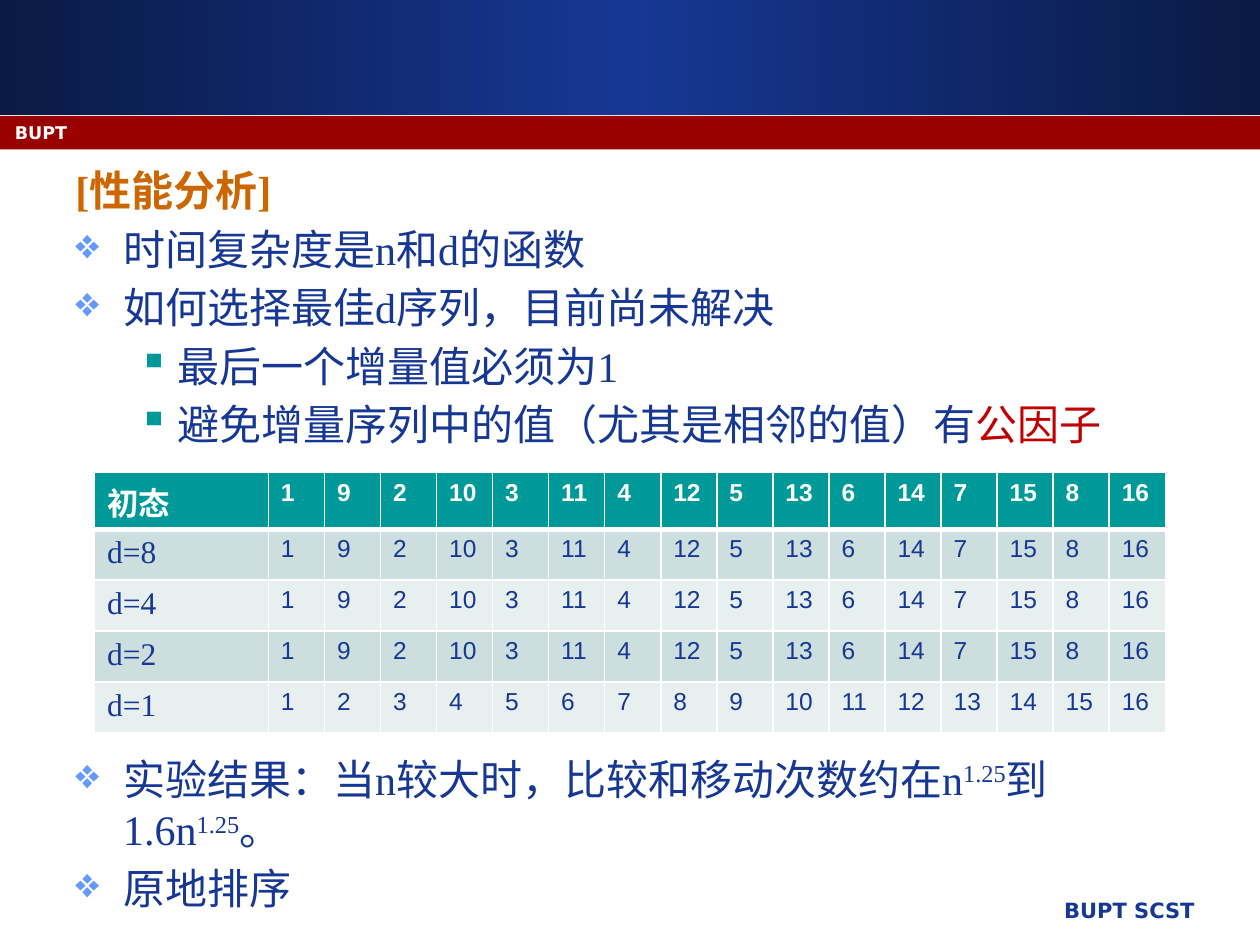
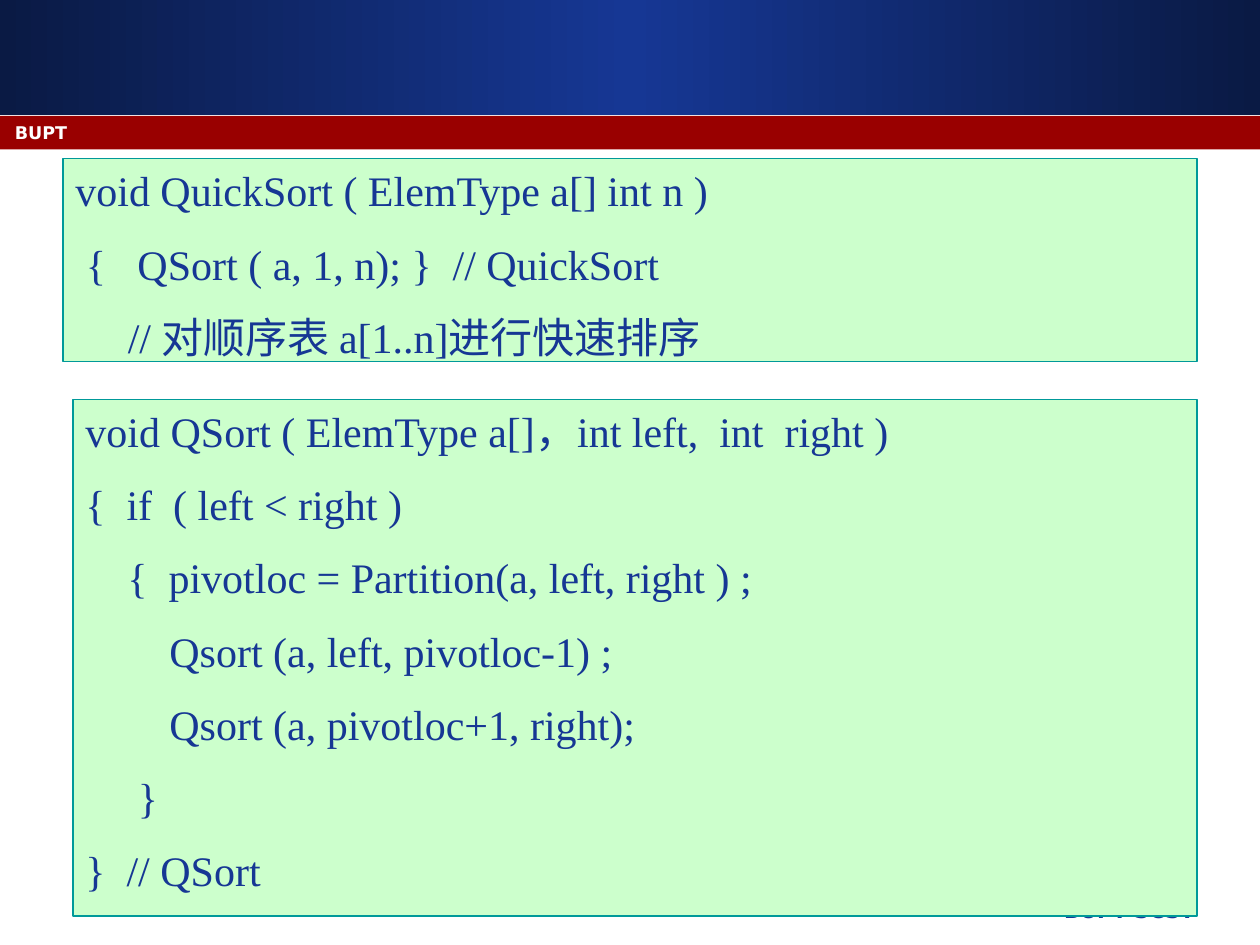
"""Builds two lecture slides: Shell sort performance and quick sort code."""
from copy import deepcopy

from pptx import Presentation
from pptx import util as u
from pptx.dml.color import RGBColor
from pptx.enum import shapes, text
from pptx.oxml import parse_xml
from pptx.oxml.ns import nsdecls, qn

NAVY = RGBColor(0x16, 0x37, 0x94)
NIGHT = RGBColor(0x0A, 0x1A, 0x44)
CRIMSON = RGBColor(0x99, 0x00, 0x00)
RED = RGBColor(0xC0, 0x00, 0x00)
ORANGE = RGBColor(0xCC, 0x66, 0x00)
SKY = RGBColor(0x66, 0x99, 0xFF)
TEAL = RGBColor(0x00, 0x99, 0x99)
MIST = RGBColor(0xCC, 0xDE, 0xDE)
PALE = RGBColor(0xE7, 0xEF, 0xEF)
MINT = RGBColor(0xCC, 0xFF, 0xCC)
WHITE = RGBColor(0xFF, 0xFF, 0xFF)

SERIF, SANS, FOOTER = "Times New Roman", "Arial", "DejaVu Sans"

deck = Presentation()
deck.slide_width, deck.slide_height = u.Inches(10), u.Inches(7.5)
COL = deck.slide_width / 20
ROW = deck.slide_height / 30


def area(left, top, width, height):
    """Turns grid columns and rows into slide lengths."""
    return [int(n * unit) for n, unit in zip((left, top, width, height), (COL, ROW, COL, ROW))]


def write(frame, paragraphs, size=24, font=SERIF, color=NAVY, bold=False,
          align=text.PP_ALIGN.LEFT, gap=0):
    """Writes paragraphs of (level, runs); a run is text or (text, color, baseline)."""
    frame.word_wrap = True
    for index, (level, runs) in enumerate(paragraphs):
        paragraph = frame.paragraphs[0] if index == 0 else frame.add_paragraph()
        if level:
            margin, hanging, bullet, bullet_color = LEVELS[level]
            pPr = paragraph._p.get_or_add_pPr()
            pPr.set("marL", str(u.Inches(margin)))
            pPr.set("indent", str(-u.Inches(hanging)))
            if bullet:
                pPr.append(parse_xml(f'<a:buClr {nsdecls("a")}><a:srgbClr val="{bullet_color}"/></a:buClr>'))
                pPr.append(parse_xml(f'<a:buChar {nsdecls("a")} char="{bullet}"/>'))
        paragraph.alignment = align
        paragraph.space_before = u.Pt(gap if index else 0)
        for piece in runs:
            words, run_color, baseline = (piece, color, 0) if isinstance(piece, str) else piece
            run = paragraph.add_run()
            run.text = words
            run.font.size, run.font.name, run.font.bold = u.Pt(size), font, bold
            run.font.color.rgb = run_color
            if baseline:
                run._r.get_or_add_rPr().set("baseline", str(baseline * 1000))


LEVELS = {
    "heading": (0.38, 0.38, None, None),
    "point": (0.38, 0.38, "❖", SKY),
    "detail": (0.81, 0.31, "▪", TEAL),
}

slides = []
for number in range(2):
    slide = deck.slides.add_slide(deck.slide_layouts[6])
    slides.append(slide)

    title_band = slide.shapes.add_shape(shapes.MSO_SHAPE.RECTANGLE, *area(0, 0, 20, 3.64))
    title_band.fill.gradient()
    title_band.fill.gradient_angle = 0
    stops = title_band._element.spPr.find(".//" + qn("a:gsLst"))
    stops.insert(1, deepcopy(stops[0]))
    for stop, position, shade in zip(title_band.fill.gradient_stops, (0, 0.5, 1), (NIGHT, NAVY, NIGHT)):
        stop.position = position
        stop.color.rgb = shade

    school_band = slide.shapes.add_shape(shapes.MSO_SHAPE.RECTANGLE, *area(0, 3.68, 20, 1.06))
    school_band.fill.solid()
    school_band.fill.fore_color.rgb = CRIMSON
    for band in (title_band, school_band):
        band.line.fill.background()
        band.shadow.inherit = False

    footer = slide.shapes.add_textbox(*area(8.42, 28.28, 10.74, 1.4))
    write(footer.text_frame, [(None, ["BUPT SCST"])], size=12, font=FOOTER, bold=True,
          align=text.PP_ALIGN.RIGHT)
    school = slide.shapes.add_textbox(*area(0.04, 3.68, 18.5, 1))
    write(school.text_frame, [(None, ["BUPT"])], size=10, font=FOOTER, color=WHITE, bold=True)

analysis, quick_sort = slides

heading = analysis.shapes.add_textbox(*area(1, 5.04, 18, 1.8))
write(heading.text_frame, [("heading", ["[性能分析]"])], color=ORANGE, bold=True)

open_questions = [
    ("point", ["时间复杂度是n和d的函数"]),
    ("point", ["如何选择最佳d序列，目前尚未解决"]),
    ("detail", ["最后一个增量值必须为1"]),
    ("detail", ["避免增量序列中的值（尤其是相邻的值）有", ("公因子", RED, 0)]),
]
findings = [
    ("point", ["实验结果：当n较大时，比较和移动次数约在n", ("1.25", NAVY, 30),
               "到1.6n", ("1.25", NAVY, 30), "。"]),
    ("point", ["原地排序"]),
]
for top, height, points in ((6.9, 7.6, open_questions), (23.72, 5, findings)):
    body = analysis.shapes.add_textbox(*area(1, top, 18, height))
    write(body.text_frame, points, gap=4.5)

interleaved = [n for low in range(1, 9) for n in (low, low + 8)]
passes = [("初态", interleaved), ("d=8", interleaved), ("d=4", interleaved),
          ("d=2", interleaved), ("d=1", range(1, 17))]
trace = analysis.shapes.add_table(len(passes), 17, *area(1.5, 15, 17, 8.32)).table
for index, column in enumerate(trace.columns):
    column.width = int(COL * (17 - 2.76) / 16 if index else COL * 2.76)
for r, (label, values) in enumerate(passes):
    trace.rows[r].height = int(ROW * (1.62 if r else 1.8))
    for c, entry in enumerate([label, *values]):
        cell = trace.cell(r, c)
        tcPr = cell._tc.get_or_add_tcPr()
        for side in "LRTB":
            weight = 3 if (r, side) in ((0, "B"), (1, "T")) else 1
            tcPr.append(parse_xml(
                f'<a:ln{side} {nsdecls("a")} w="{u.Pt(weight)}"><a:solidFill>'
                f'<a:srgbClr val="{WHITE}"/></a:solidFill></a:ln{side}>'))
        cell.fill.solid()
        cell.fill.fore_color.rgb = TEAL if r == 0 else (PALE, MIST)[r % 2]
        write(cell.text_frame, [(None, [str(entry)])], size=14 if c else 18,
              font=SANS if c else SERIF, color=NAVY if r else WHITE, bold=r == 0)

wrapper_code = [
    "void QuickSort ( ElemType a[] int n )",
    " {   QSort ( a, 1, n); }  // QuickSort",
    "     // 对顺序表 a[1..n]进行快速排序",
]
recursive_code = [
    "void QSort ( ElemType a[]，int left,  int  right )",
    "{  if  ( left < right )",
    "    {  pivotloc = Partition(a, left, right ) ;",
    "        Qsort (a, left, pivotloc-1) ;",
    "        Qsort (a, pivotloc+1, right);",
    "     }",
    "}  // QSort",
]
for place, lines in (((1, 5.04, 18, 6.44), wrapper_code), ((1.16, 12.68, 17.84, 16.4), recursive_code)):
    listing = quick_sort.shapes.add_shape(shapes.MSO_SHAPE.RECTANGLE, *area(*place))
    listing.shadow.inherit = False
    listing.fill.solid()
    listing.fill.fore_color.rgb = MINT
    listing.line.color.rgb = TEAL
    listing.line.width = u.Pt(0.75)
    listing.text_frame.vertical_anchor = text.MSO_ANCHOR.TOP
    write(listing.text_frame, [(None, [line]) for line in lines], gap=13)

deck.save("out.pptx")
